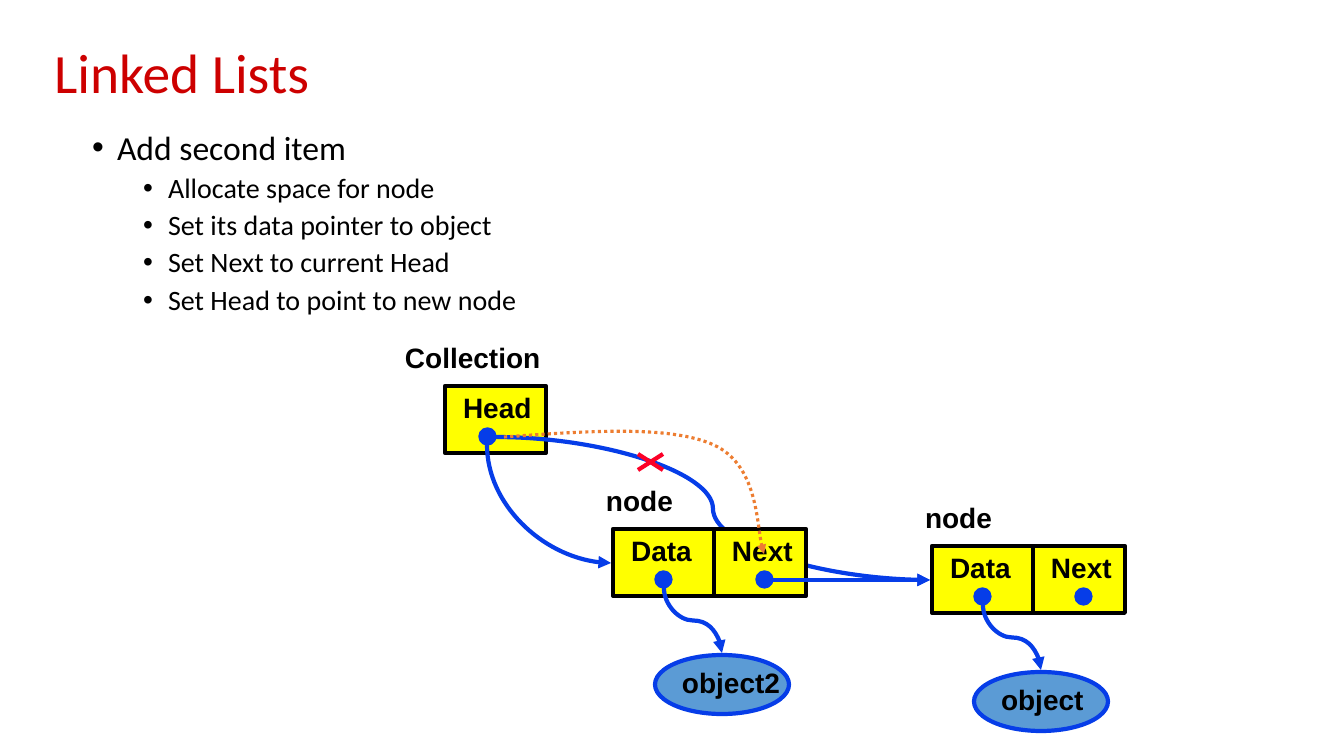
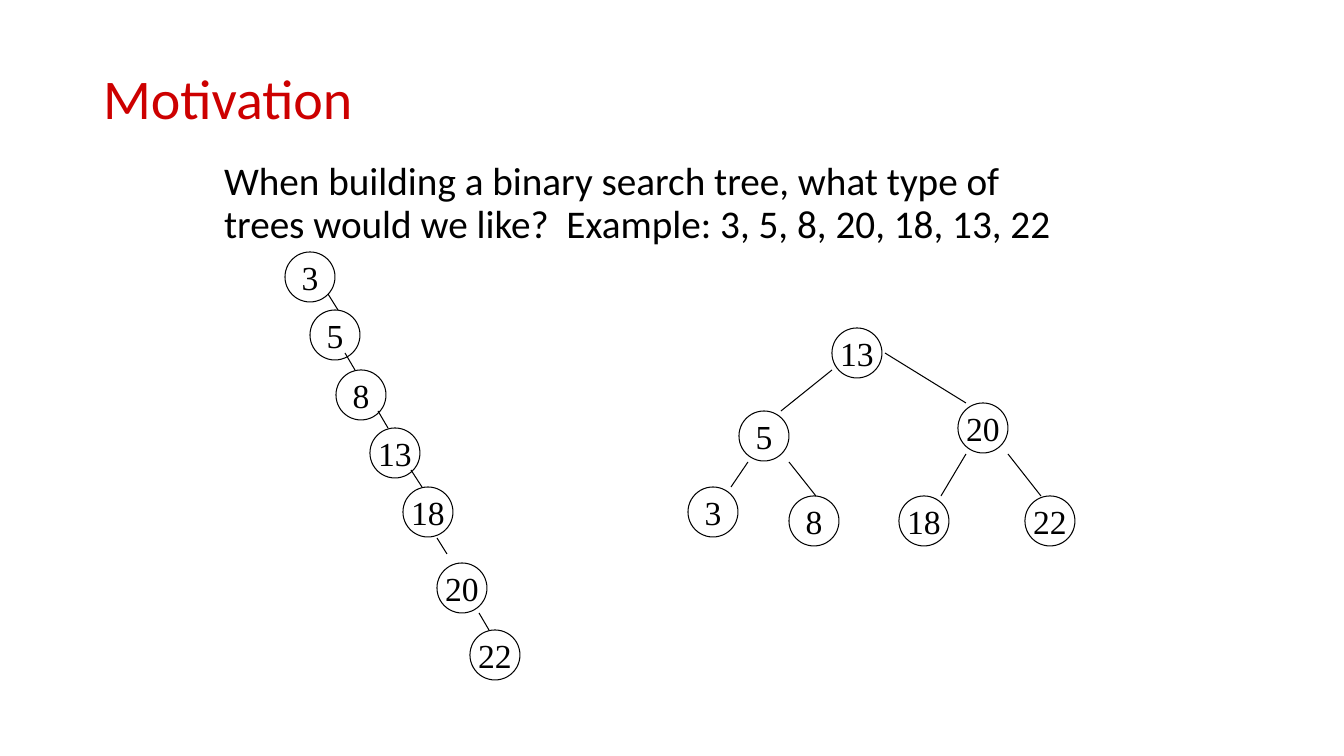
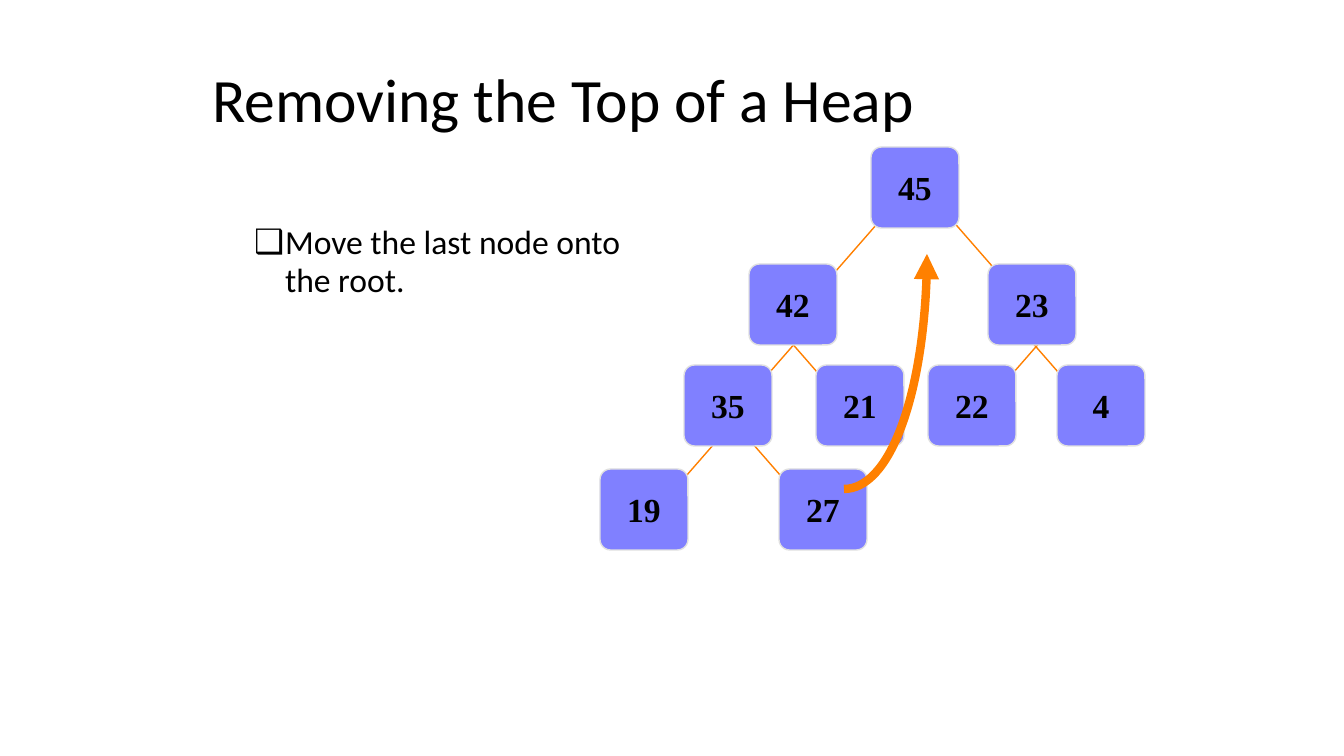
import pptx
import pptx.util
import pptx.dml.color
import pptx.enum.dml
import pptx.enum.shapes
import pptx.enum.text
import pptx.oxml.ns
from lxml import etree

SCALE = 914400 / 100.8  # EMU per pixel
COLORS = {
    "title": "CD0000", "black": "000000", "yellow": "FFFF00", "object": "5B9BD5",
    "pointer": "063DE8", "dotted": "ED7D31", "cross": "FC0128",
    "heap": "8080FF", "heap edge": "E0E0E0", "orange": "FF8000",
}
COLORS = {name: pptx.dml.color.RGBColor.from_string(value) for name, value in COLORS.items()}
SHAPE = pptx.enum.shapes.MSO_SHAPE
CONNECTOR = pptx.enum.shapes.MSO_CONNECTOR
ALIGN = pptx.enum.text.PP_ALIGN
ANCHOR = pptx.enum.text.MSO_ANCHOR
qn = pptx.oxml.ns.qn


def add_block(slide, kind, box, text="", fill=None, line=None, weight=1, font="Arial",
              size=20, bold=True, align=ALIGN.CENTER, anchor=ANCHOR.MIDDLE,
              insets=(0, 0), wrap=False):
    """Add a preset shape, or a text box when kind is None."""
    lengths = [round(value * SCALE) for value in box]
    if kind is None:
        shape = slide.shapes.add_textbox(*lengths)
    else:
        shape = slide.shapes.add_shape(kind, *lengths)
        shape.shadow.inherit = False
        if fill:
            shape.fill.solid()
            shape.fill.fore_color.rgb = COLORS[fill]
        else:
            shape.fill.background()
        shape.line.color.rgb = COLORS[line]
        shape.line.width = pptx.util.Pt(weight)
    if text:
        frame = shape.text_frame
        frame.word_wrap = wrap
        frame.vertical_anchor = anchor
        frame.margin_left, frame.margin_top = [round(inset * SCALE) for inset in insets]
        frame.margin_right = frame.margin_bottom = 0
        paragraph = frame.paragraphs[0]
        paragraph.alignment = align
        run = paragraph.add_run()
        run.text = text
        run.font.name, run.font.size, run.font.bold = font, pptx.util.Pt(size), bold
        run.font.color.rgb = COLORS["black"]
    return shape


def add_line(slide, points, color, weight, arrow=False, turn=None, kind=CONNECTOR.STRAIGHT):
    """Two points give a connector, more give Bezier curves; turn names a preset that starts downward."""
    if len(points) > 2:
        builder = slide.shapes.build_freeform(*points[0], scale=SCALE)
        builder.add_line_segments(points[1:], close=False)
        line = builder.convert_to_shape()
        line.fill.background()
        outline = next(line.element.iter(qn("a:path")))
        segments = outline.findall(qn("a:lnTo"))
        for index, segment in enumerate(segments):
            if index % 3 == 0:
                curve = etree.SubElement(outline, qn("a:cubicBezTo"))
            curve.append(segment[0])
            outline.remove(segment)
    else:
        (x1, y1), (x2, y2) = points
        if turn:
            middle_x, middle_y = (x1 + x2) / 2, (y1 + y2) / 2
            half_width, half_height = (y2 - y1) / 2, (x2 - x1) / 2
            x1, x2 = middle_x - half_width, middle_x + half_width
            y1, y2 = middle_y - half_height, middle_y + half_height
        line = slide.shapes.add_connector(kind, *[round(v * SCALE) for v in (x1, y1, x2, y2)])
        if turn:
            frame = line.element.spPr.find(qn("a:xfrm"))
            frame.set("rot", "16200000")
            frame.set("flipH", "1")
            line.element.spPr.find(qn("a:prstGeom")).set("prst", turn)
    line.line.color.rgb = COLORS[color]
    line.line.width = pptx.util.Pt(weight)
    properties = line.element.spPr
    if arrow:
        etree.SubElement(properties.find(qn("a:ln")), qn("a:tailEnd"), type="triangle")
    etree.SubElement(properties, qn("a:effectLst"))
    return line


presentation = pptx.Presentation()
presentation.slide_width = round(1344 * SCALE)
presentation.slide_height = round(756 * SCALE)

# Titles and lists: list items are (text, level, size, indent, hanging, bullet, space before)
pages = [
    ("Linked Lists", (44, 38, 857, 76), 39.6, "title", (82, 126, 874, 210), 0.9,
     [("Add second item", 0, 24, 25, 25, "•", 10)]
     + [(text, 1, 20, 76, 25, "•", 5) for text in (
         "Allocate space for node", "Set its data pointer to object",
         "Set Next to current Head", "Set Head to point to new node")]),
    ("Motivation", (93, 28, 1159, 146), 40, "title", (214, 157, 857, 109), 0.9,
     [("When building a binary search tree, what type of trees would we like?  "
       "Example: 3, 5, 8, 20, 18, 13, 22", 0, 28, 0, 0, None, 10)]),
    ("Removing the Top of a Heap", (202, 38, 857, 126), 44, "black", (244, 219, 393, 410), 0.95,
     [("Move the last node onto the root.", 0, 24, 31, 31, "❑", 6)]),
]
slides = []
for title, title_box, title_size, title_color, body_box, spacing, items in pages:
    slide = presentation.slides.add_slide(presentation.slide_layouts[1])
    slides.append(slide)
    title_item = (title, 0, title_size, 0, 0, None, 0)
    parts = [(slide.shapes.title, title_box, title_color, ANCHOR.MIDDLE, [title_item]),
             (slide.placeholders[1], body_box, "black", ANCHOR.TOP, items)]
    for holder, box, color, anchor, entries in parts:
        holder.left, holder.top, holder.width, holder.height = [round(v * SCALE) for v in box]
        frame = holder.text_frame
        frame.auto_size = pptx.enum.text.MSO_AUTO_SIZE.NONE
        frame.word_wrap = True
        frame.vertical_anchor = anchor
        for index, (text, level, size, indent, hanging, bullet, before) in enumerate(entries):
            paragraph = frame.add_paragraph() if index else frame.paragraphs[0]
            paragraph.level = level
            paragraph.alignment = ALIGN.LEFT
            paragraph.line_spacing = spacing
            paragraph.space_before = pptx.util.Pt(before)
            paragraph.space_after = pptx.util.Pt(0)
            properties = paragraph._p.get_or_add_pPr()
            properties.set("marL", str(round(indent * SCALE)))
            properties.set("indent", str(round(-hanging * SCALE)))
            if bullet:
                etree.SubElement(properties, qn("a:buChar"), char=bullet)
            else:
                etree.SubElement(properties, qn("a:buNone"))
            run = paragraph.add_run()
            run.text = text
            run.font.name, run.font.size = "Calibri", pptx.util.Pt(size)
            run.font.color.rgb = COLORS[color]
linked_slide, tree_slide, heap_slide = slides

# Linked list: head cell and its old pointer
cell = dict(fill="yellow", line="black", weight=3, align=ALIGN.LEFT, anchor=ANCHOR.TOP,
            insets=(18, 5), wrap=True)
label = dict(align=ALIGN.LEFT, anchor=ANCHOR.TOP, insets=(10, 5))
dot = dict(fill="pointer", line="pointer")
add_block(linked_slide, SHAPE.RECTANGLE, (445, 386, 101, 67), "Head", **cell)
add_block(linked_slide, SHAPE.OVAL, (479, 428, 17, 17), **dot)
add_line(linked_slide, [(496, 437), (930, 580)], "pointer", 3, True, kind=CONNECTOR.CURVE)
add_block(linked_slide, None, (395, 336, 155, 43), "Collection", **label)

# Linked list: the two nodes with their objects
for left, top, name, name_width in [(932, 546, "object", 103), (613, 529, "object2", 118)]:
    add_block(linked_slide, SHAPE.RECTANGLE, (left, top, 101, 67), "Data", **cell)
    add_block(linked_slide, SHAPE.RECTANGLE, (left + 101, top, 92, 67), "Next", **cell)
    add_block(linked_slide, SHAPE.OVAL, (left + 42, top + 126, 134, 59),
              fill="object", line="pointer", weight=3)
    for offset in (42, 143):
        add_block(linked_slide, SHAPE.OVAL, (left + offset, top + 42, 17, 17), **dot)
    add_line(linked_slide, [(left + 51, top + 59), (left + 109, top + 124)], "pointer", 3, True,
             turn="curvedConnector3", kind=CONNECTOR.CURVE)
    add_block(linked_slide, None, (left + 59, top + 132, name_width, 43), name, **label)
    add_block(linked_slide, None, (left - 17, top - 50, 88, 43), "node", **label)

# Linked list: new pointers and the crossed-out one
add_line(linked_slide, [(773, 580), (930, 580)], "pointer", 3, True)
dotted = add_line(linked_slide, [(504, 437), (588, 431), (670, 425), (714, 445),
                                 (757, 465), (757, 536), (764, 554)], "dotted", 2.25, True)
dotted.line.dash_style = pptx.enum.dml.MSO_LINE.ROUND_DOT
for start, end in [(663, 638), (638, 663)]:
    add_line(linked_slide, [(start, 454), (end, 470)], "cross", 3)
add_line(linked_slide, [(487, 445), (611, 563)], "pointer", 3, True,
         turn="curvedConnector2", kind=CONNECTOR.CURVE)

# Search trees: chain on the left, balanced tree on the right
tree_nodes = [
    (3, 285, 252), (5, 310, 310), (8, 336, 370), (13, 370, 428), (18, 403, 487),
    (20, 437, 563), (22, 470, 630),
    (13, 832, 328), (5, 739, 411), (3, 688, 487), (8, 789, 496),
    (20, 958, 403), (18, 899, 496), (22, 1025, 496),
]
tree_edges = [
    (328, 294, 338, 310), (345, 353, 355, 370), (378, 411, 388, 428),
    (411, 470, 422, 487), (437, 538, 447, 554), (479, 613, 489, 630),
    (832, 370, 781, 411), (885, 353, 966, 403), (748, 462, 731, 487),
    (789, 462, 816, 496), (966, 454, 941, 496), (1008, 454, 1041, 496),
]
for value, left, top in tree_nodes:
    add_block(tree_slide, SHAPE.OVAL, (left, top, 50, 50), str(value), line="black",
              weight=0.75, font="Times New Roman", size=24, bold=False)
for x1, y1, x2, y2 in tree_edges:
    add_line(tree_slide, [(x1, y1), (x2, y2)], "black", 0.75)

# Heap: every edge has the same slope, +1 to the right and -1 to the left
for left, top, side in [(739, 428, 1), (728, 428, -1), (1017, 325, 1), (1055, 325, -1),
                        (776, 325, 1), (811, 325, -1), (951, 219, 1), (877, 224, -1)]:
    add_line(heap_slide, [(left, top), (left + 62 * side, top + 71)], "orange", 1)
heap_rows = [
    (147, [(45, 871)]),
    (264, [(42, 749), (23, 988)]),
    (365, [(35, 684), (21, 816), (22, 928), (4, 1057)]),
    (469, [(19, 600), (27, 779)]),
]
for top, row in heap_rows:
    for value, left in row:
        box = add_block(heap_slide, SHAPE.ROUNDED_RECTANGLE, (left, top, 88, 81), str(value),
                        fill="heap", line="heap edge", font="Times New Roman", size=24)
        box.adjustments[0] = 0.13

# Heap: quarter-ellipse arrow from the last node to the root
add_line(heap_slide, [(844, 489), (890, 489), (927, 384), (927, 254)], "orange", 6, True)

presentation.save("out.pptx")
